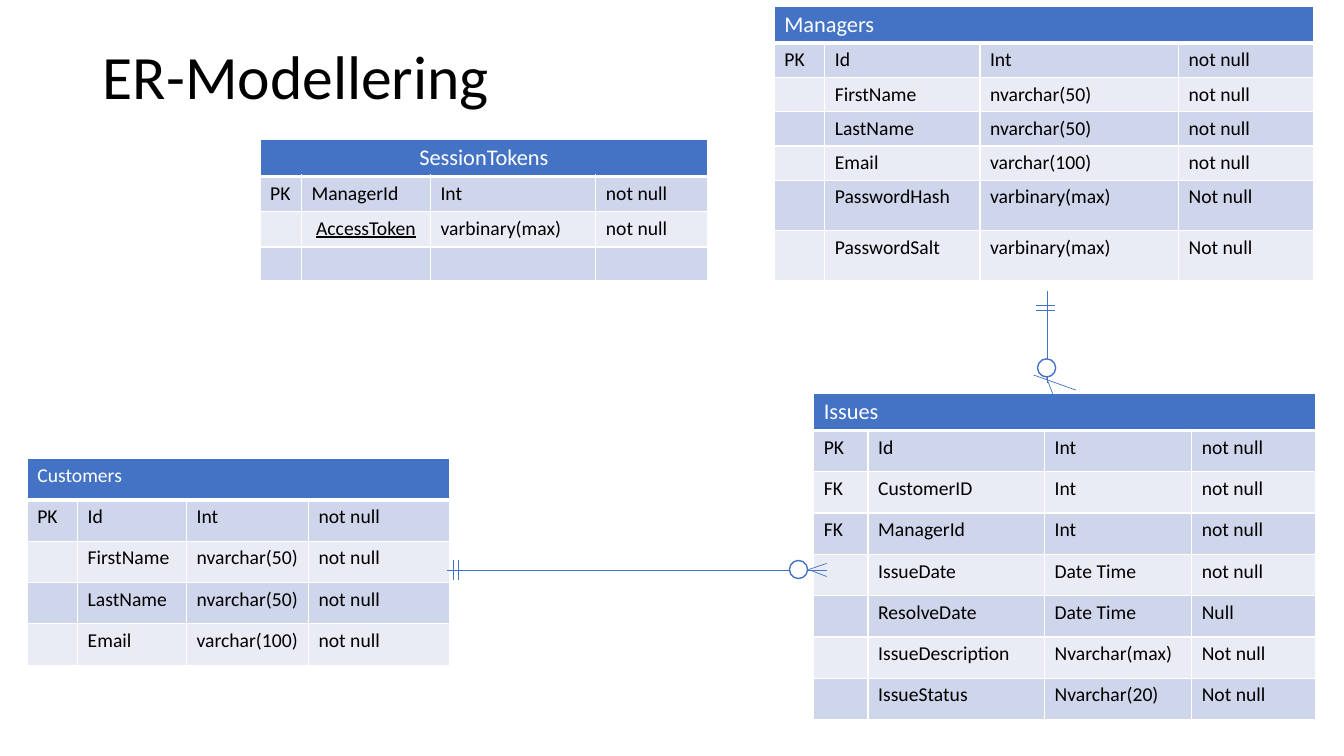
from lxml import etree
from pptx import Presentation
from pptx.dml.color import RGBColor
from pptx.enum import shapes, text
from pptx.oxml import ns
from pptx.util import Inches, Pt

BLUE = RGBColor(0x44, 0x72, 0xC4)
BAND_DARK = RGBColor(0xCF, 0xD5, 0xEA)
BAND_LIGHT = RGBColor(0xE9, 0xEB, 0xF5)
WHITE = RGBColor(0xFF, 0xFF, 0xFF)
BLACK = RGBColor(0, 0, 0)
FONT = "Calibri"
BODY_SIZE = 14

TITLE = "ER-Modellering"

ISSUES = {
    "name": "Issues", "size": 16, "at": (8.07, 3.9),
    "cols": (0.54, 1.75, 1.46, 1.23), "heights": (0.37,) + (0.41,) * 7,
    "fields": [
        ("PK", "Id", "Int", "not null"),
        ("FK", "CustomerID", "Int", "not null"),
        ("FK", "ManagerId", "Int", "not null"),
        ("", "IssueDate", "Date Time", "not null"),
        ("", "ResolveDate", "Date Time", "Null"),
        ("", "IssueDescription", "Nvarchar(max)", "Not null"),
        ("", "IssueStatus", "Nvarchar(20)", "Not null"),
    ],
}
MANAGERS = {
    "name": "Managers", "size": 16, "at": (7.68, 0.06),
    "cols": (0.5, 1.54, 1.97, 1.34), "heights": (0.37,) + (0.34,) * 4 + (0.5,) * 2,
    "fields": [
        ("PK", "Id", "Int", "not null"),
        ("", "FirstName", "nvarchar(50)", "not null"),
        ("", "LastName", "nvarchar(50)", "not null"),
        ("", "Email", "varchar(100)", "not null"),
        ("", "PasswordHash", "varbinary(max)", "Not null"),
        ("", "PasswordSalt", "varbinary(max)", "Not null"),
    ],
}
CUSTOMERS = {
    "name": "Customers", "size": 14, "at": (0.27, 4.55),
    "cols": (0.5, 1.08, 1.21, 1.4), "heights": (0.41,) * 5,
    "fields": [
        ("PK", "Id", "Int", "not null"),
        ("", "FirstName", "nvarchar(50)", "not null"),
        ("", "LastName", "nvarchar(50)", "not null"),
        ("", "Email", "varchar(100)", "not null"),
    ],
}
SESSION_TOKENS = {
    "name": "SessionTokens", "size": 16, "at": (2.58, 1.38),
    "cols": (0.41, 1.28, 1.64, 1.11), "heights": (0.37, 0.35, 0.35, 0.33),
    "fields": [
        ("PK", "ManagerId", "Int", "not null"),
        ("", "AccessToken", "varbinary(max)", "not null"),
        ("", "", "", ""),
    ],
}
CENTERED = ("SessionTokens", "AccessToken")
UNDERLINED = ("AccessToken",)

RELATIONS = [(4.43, 5.66, 8.2, 5.66), (10.39, 2.89, 10.39, 3.8)]
CIRCLE = 0.18
MARKS = [
    {"lines": [(10.25, 3.72, 10.67, 3.87), (10.38, 3.75, 10.45, 3.93)],
     "circle": (10.29, 3.56)},
    {"lines": [(8.02, 5.65, 8.2, 5.72), (8.02, 5.65, 8.2, 5.59)],
     "circle": (7.83, 5.56)},
    {"lines": [(10.28, 3.03, 10.46, 3.03), (10.28, 3.08, 10.46, 3.08)]},
    {"lines": [(4.55, 5.56, 4.55, 5.75), (4.5, 5.56, 4.5, 5.75)]},
]


def style_run(r, size, color):
    r.font.name = FONT
    r.font.size = Pt(size)
    r.font.color.rgb = color
    r.font.bold = False


def set_borders(cell, bottom):
    tcPr = cell._tc.get_or_add_tcPr()
    for side, width in (("L", 1), ("R", 1), ("T", 1), ("B", bottom)):
        ln = etree.SubElement(tcPr, ns.qn("a:ln" + side), w=str(Pt(width)))
        fill = etree.SubElement(ln, ns.qn("a:solidFill"))
        etree.SubElement(fill, ns.qn("a:srgbClr"), val=str(WHITE))


def fill_cell(cell, value, size, color, fill):
    cell.fill.solid()
    cell.fill.fore_color.rgb = fill
    p = cell.text_frame.paragraphs[0]
    if not value:
        etree.SubElement(p._p, ns.qn("a:endParaRPr"), sz=str(size * 100))
        return
    p.text = value
    style_run(p.runs[0], size, color)
    if value in CENTERED:
        p.alignment = text.PP_ALIGN.CENTER
    if value in UNDERLINED:
        p.runs[0].font.underline = True


def add_entity(slide, entity):
    cols, heights = entity["cols"], entity["heights"]
    x, y = entity["at"]
    table = slide.shapes.add_table(
        len(heights), len(cols), Inches(x), Inches(y),
        Inches(sum(cols)), Inches(sum(heights))).table
    for column, width in zip(table.columns, cols):
        column.width = Inches(width)
    for row, height in zip(table.rows, heights):
        row.height = Inches(height)
    for i, row in enumerate(table.rows):
        for cell in row.cells:
            set_borders(cell, 1 if i else 3)
    header = table.cell(0, 0)
    header.merge(table.cell(0, len(cols) - 1))
    fill_cell(header, entity["name"], entity["size"], WHITE, BLUE)
    for i, field in enumerate(entity["fields"], 1):
        band = BAND_DARK if i % 2 else BAND_LIGHT
        for j, value in enumerate(field):
            fill_cell(table.cell(i, j), value, BODY_SIZE, BLACK, band)


def add_line(parent, ends):
    line = parent.add_connector(shapes.MSO_CONNECTOR.STRAIGHT, *map(Inches, ends))
    line.line.color.rgb = BLUE
    line.line.width = Pt(0.5)
    etree.SubElement(line._element.spPr, ns.qn("a:effectLst"))


def add_mark(slide, mark):
    group = slide.shapes.add_group_shape()
    for ends in mark["lines"]:
        add_line(group.shapes, ends)
    if "circle" in mark:
        x, y = mark["circle"]
        sp = group.shapes.add_shape(shapes.MSO_SHAPE.OVAL, Inches(x), Inches(y),
                                    Inches(CIRCLE), Inches(CIRCLE))
        sp.shadow.inherit = False
        sp.fill.solid()
        sp.fill.fore_color.rgb = WHITE
        sp.line.color.rgb = BLUE
        sp.line.width = Pt(1)


def add_title(slide):
    tf = slide.shapes.add_textbox(Inches(0.92), Inches(0.4),
                                  Inches(11.5), Inches(0.77)).text_frame
    tf.word_wrap = True
    tf.vertical_anchor = text.MSO_ANCHOR.MIDDLE
    p = tf.paragraphs[0]
    p.text = TITLE
    p.line_spacing = 0.9
    style_run(p.runs[0], 44, BLACK)


def main():
    prs = Presentation()
    prs.slide_width, prs.slide_height = Inches(13.33), Inches(7.5)
    slide = prs.slides.add_slide(prs.slide_layouts[6])
    add_title(slide)
    for entity in (ISSUES, MANAGERS, CUSTOMERS):
        add_entity(slide, entity)
    for ends in RELATIONS:
        add_line(slide.shapes, ends)
    for mark in MARKS:
        add_mark(slide, mark)
    add_entity(slide, SESSION_TOKENS)
    prs.save("out.pptx")


if __name__ == "__main__":
    main()
